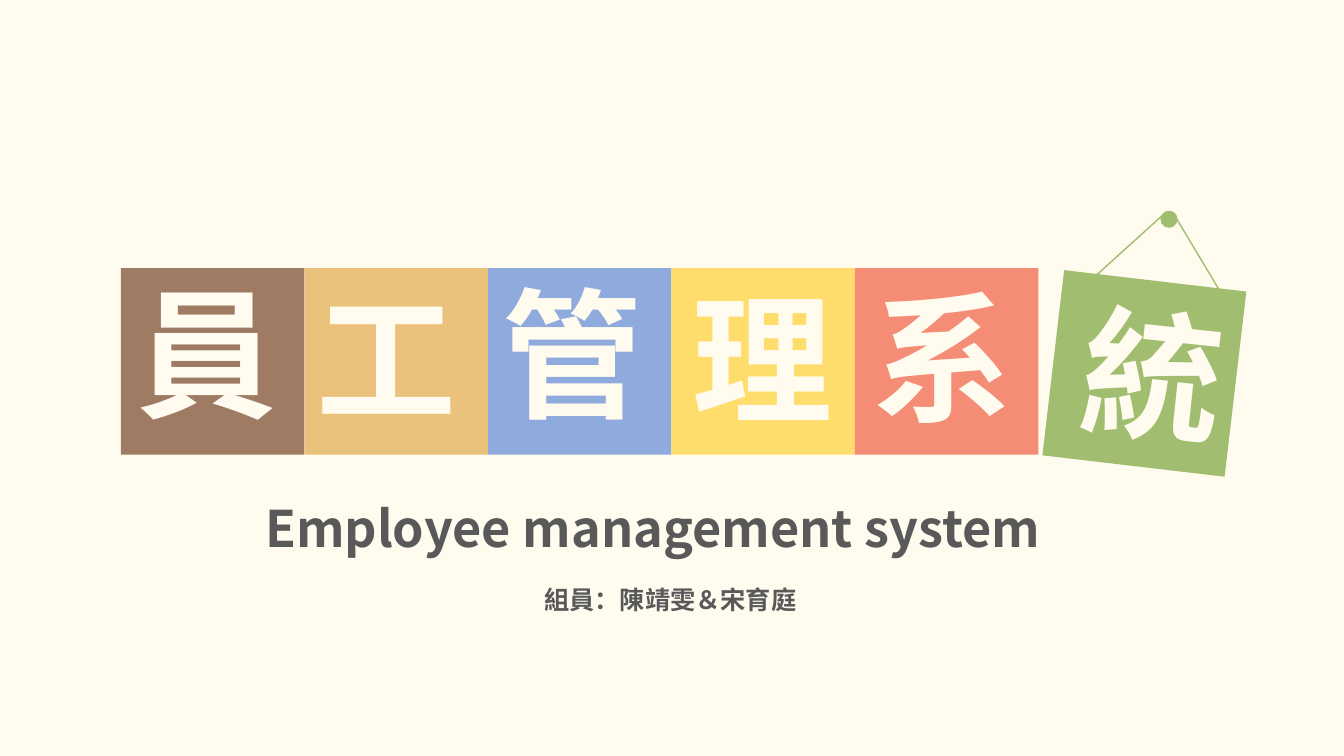
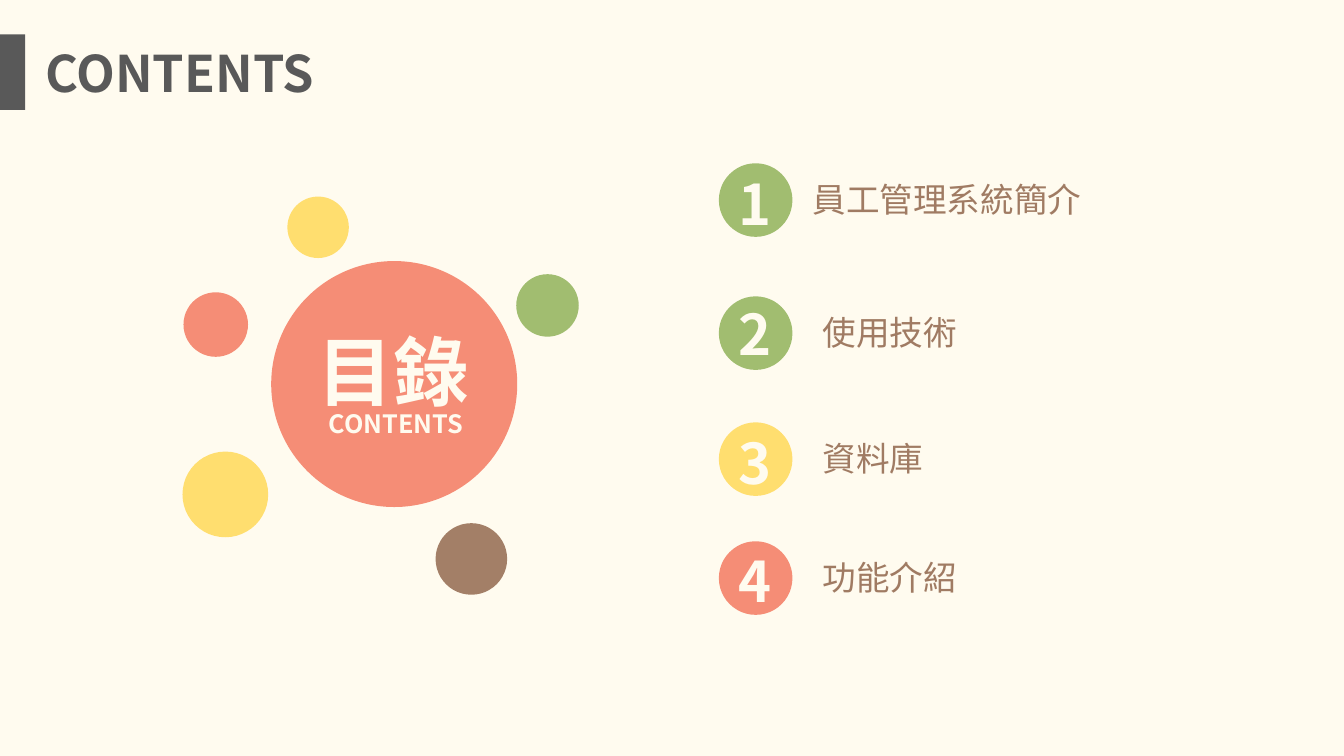
from pptx import Presentation
from pptx.dml.color import RGBColor
from pptx.enum.shapes import MSO_SHAPE as Preset
from pptx.enum.text import MSO_AUTO_SIZE as AutoSize
from pptx.oxml.ns import qn
from pptx.util import Inches, Pt

FONT = "Noto Sans CJK SC"
CREAM = "FFFBEF"
BROWN = "A07B63"
LIGHT_BROWN = "A37F67"
TAN = "EBC27B"
BLUE = "8FAADC"
YELLOW = "FFDD6C"
SOFT_YELLOW = "FFDE6F"
CORAL = "F58D76"
GREEN = "A1BD70"
GRAY = "595959"

TILE_WIDTH, TILE_HEIGHT = 1.82, 1.85
TILE_LEFT, TILE_TOP = 1.2, 2.66
BADGE_LEFT, BADGE_SIZE = 7.13, 0.73


def color(value):
    return RGBColor.from_string(value)


def add_block(slide, preset, left, top, width, height, fill, rotation=0):
    shape = slide.shapes.add_shape(
        preset, Inches(left), Inches(top), Inches(width), Inches(height))
    shape.shadow.inherit = False
    shape.fill.solid()
    shape.fill.fore_color.rgb = color(fill)
    shape.line.fill.background()
    shape.rotation = rotation


def add_circle(slide, left, top, size, fill):
    add_block(slide, Preset.OVAL, left, top, size, size, fill)


def add_tile(slide, left, top, fill, rotation=0):
    add_block(slide, Preset.RECTANGLE, left, top, TILE_WIDTH, TILE_HEIGHT, fill, rotation)


def add_label(slide, text, left, top, width, height, size, ink, bold=True, rotation=0):
    box = slide.shapes.add_textbox(
        Inches(left), Inches(top), Inches(width), Inches(height))
    box.rotation = rotation
    frame = box.text_frame
    frame.word_wrap = False
    frame.auto_size = AutoSize.SHAPE_TO_FIT_TEXT
    run = frame.paragraphs[0].add_run()
    run.text = text
    font = run.font
    font.name = FONT
    font.size = Pt(size)
    font.bold = bold
    font.color.rgb = color(ink)
    east_asian = run._r.get_or_add_rPr().makeelement(qn("a:ea"), {"typeface": FONT})
    run._r.rPr.find(qn("a:latin")).addnext(east_asian)


def add_tile_character(slide, text, left, top, rotation=0):
    add_label(slide, text, left, top, 1.6, 1.78, 100, CREAM, rotation=rotation)


def add_outline(slide, points, ink):
    start, *rest = [(Inches(x), Inches(y)) for x, y in points]
    builder = slide.shapes.build_freeform(*start)
    builder.add_line_segments(rest, close=False)
    shape = builder.convert_to_shape()
    shape.shadow.inherit = False
    shape.fill.background()
    shape.line.color.rgb = color(ink)
    shape.line.width = Pt(1)


def add_title(slide, text):
    add_block(slide, Preset.RECTANGLE, 0, 0.34, 0.25, 0.75, GRAY)
    add_label(slide, text, 0.35, 0.37, 3.03, 0.71, 36, GRAY)


def build_cover(slide):
    tiles = [
        ("員", BROWN, 1.26, 2.6),
        ("工", TAN, 3.04, 2.64),
        ("管", BLUE, 4.89, 2.6),
        ("理", YELLOW, 6.77, 2.65),
        ("系", CORAL, 8.56, 2.64),
    ]
    for index, (text, fill, left, top) in enumerate(tiles):
        add_tile(slide, TILE_LEFT + index * TILE_WIDTH, TILE_TOP, fill)
        add_tile_character(slide, text, left, top)

    add_tile(slide, 10.44, 2.78, GREEN, rotation=6.7)
    add_tile_character(slide, "統", 10.64, 2.81, rotation=6.2)
    add_circle(slide, 11.51, 2.09, 0.17, GREEN)
    add_outline(slide, [(10.72, 2.87), (11.56, 2.11), (11.64, 2.12), (12.19, 3.04)], GREEN)

    add_label(slide, "Employee management system", 2.53, 4.88, 8.28, 0.71, 36, GRAY)
    add_label(slide, "組員：陳靖雯＆宋育庭", 5.3, 5.75, 2.73, 0.4, 18, GRAY)


def build_contents(slide):
    add_title(slide, "CONTENTS")

    add_circle(slide, 2.69, 2.59, 2.44, CORAL)
    add_label(slide, "CONTENTS", 3.16, 4, 1.62, 0.4, 18, CREAM)
    add_label(slide, "目錄", 3.05, 3.17, 1.72, 1.01, 54, CREAM)

    bubbles = [
        (1.81, 4.48, 0.85, SOFT_YELLOW),
        (1.82, 2.9, 0.64, CORAL),
        (2.85, 1.95, 0.61, SOFT_YELLOW),
        (5.12, 2.72, 0.62, GREEN),
        (4.32, 5.19, 0.71, LIGHT_BROWN),
    ]
    for bubble in bubbles:
        add_circle(slide, *bubble)

    topics = [
        ("員工管理系統簡介", GREEN, 1.62, 1.63, 7.96, 3.09),
        ("使用技術", GREEN, 2.94, 2.92, 8.06, 1.55),
        ("資料庫", SOFT_YELLOW, 4.19, 4.2, 8.06, 1.21),
        ("功能介紹", CORAL, 5.37, 5.37, 8.06, 1.55),
    ]
    for number, (text, fill, top, number_top, left, width) in enumerate(topics, 1):
        add_circle(slide, BADGE_LEFT, top, BADGE_SIZE, fill)
        add_label(slide, str(number), BADGE_LEFT + 0.1, number_top, 0.55, 0.77, 40, CREAM)
        add_label(slide, text, left, top + 0.11, width, 0.5, 24, BROWN, bold=False)


def main():
    presentation = Presentation()
    presentation.slide_width = Inches(13.33)
    presentation.slide_height = Inches(7.5)
    background = presentation.slide_master.background.fill
    background.solid()
    background.fore_color.rgb = color(CREAM)
    blank = presentation.slide_layouts[6]
    for build in (build_cover, build_contents):
        build(presentation.slides.add_slide(blank))
    presentation.save("out.pptx")


if __name__ == "__main__":
    main()
